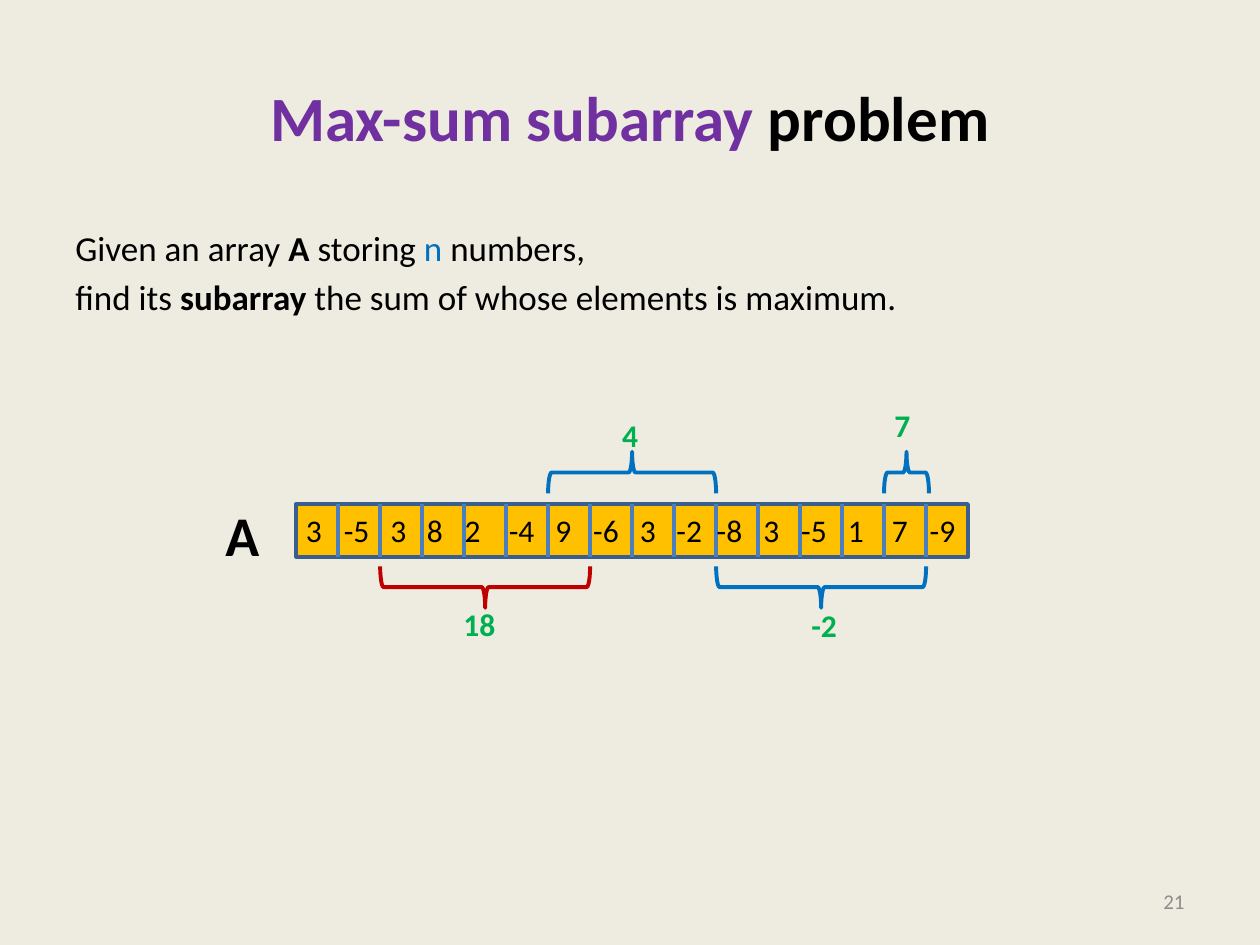
import pptx
import pptx.dml.color
import pptx.enum.shapes
import pptx.enum.text
import pptx.util
import lxml.etree
from pptx.util import Inches

COLORS = {
    "background": "EEECE1", "black": "000000", "purple": "7030A0",
    "blue": "0070C0", "red": "C00000", "green": "00B050", "gray": "8C8C8C",
    "cell": "FFC000", "border": "3A5F8C", "divider": "4B7EBC",
}
ALIGN = pptx.enum.text.PP_ALIGN
ANCHOR = pptx.enum.text.MSO_ANCHOR
SHAPE = pptx.enum.shapes.MSO_SHAPE


def color(name):
    return pptx.dml.color.RGBColor.from_string(COLORS[name])


def add_text(left, top, width, height, lines, size, align=ALIGN.LEFT,
             anchor=ANCHOR.TOP, wrap=True):
    """Add a text box; each line is a list of (text, color name, bold) runs."""
    box = slide.shapes.add_textbox(Inches(left), Inches(top), Inches(width), Inches(height))
    frame = box.text_frame
    frame.word_wrap = wrap
    frame.vertical_anchor = anchor
    if not wrap:
        frame.auto_size = pptx.enum.text.MSO_AUTO_SIZE.SHAPE_TO_FIT_TEXT
    for index, runs in enumerate(lines):
        paragraph = frame.add_paragraph() if index else frame.paragraphs[0]
        paragraph.alignment = align
        if index:
            paragraph.space_before = pptx.util.Pt(size * 0.2)
        for text, color_name, bold in runs:
            run = paragraph.add_run()
            run.text = text
            run.font.name = "Calibri"
            run.font.size = pptx.util.Pt(size)
            run.font.bold = bold
            run.font.color.rgb = color(color_name)
    return box


presentation = pptx.Presentation()
presentation.slide_width = Inches(10)
presentation.slide_height = Inches(7.5)
slide = presentation.slides.add_slide(presentation.slide_layouts[6])
slide.background.fill.solid()
slide.background.fill.fore_color.rgb = color("background")

# Title, problem statement and slide number
add_text(0.5, 0.3, 9, 1.25,
         [[("Max-sum subarray ", "purple", True), ("problem", "black", True)]],
         36, ALIGN.CENTER, ANCHOR.MIDDLE)
add_text(0.5, 1.75, 9, 4.95, [
    [("Given an array ", "black", False), ("A", "black", True),
     (" storing ", "black", False), ("n", "blue", False), (" numbers,", "black", False)],
    [("find its ", "black", False), ("subarray", "black", True),
     (" the sum of whose elements is maximum.", "black", False)],
], 20)
add_text(7.17, 6.95, 2.33, 0.4, [[("21", "gray", False)]], 12, ALIGN.RIGHT, ANCHOR.MIDDLE)

# Array bar
array_left, array_top, array_height = 2.35, 4, 0.42
cell_count, cell_width = 16, 1 / 3
bar = slide.shapes.add_shape(SHAPE.RECTANGLE, Inches(array_left), Inches(array_top),
                             Inches(cell_count * cell_width), Inches(array_height))
bar.shadow.inherit = False
bar.fill.solid()
bar.fill.fore_color.rgb = color("cell")
bar.line.color.rgb = color("border")
bar.line.width = pptx.util.Pt(2)

# Cell dividers
for index in range(1, cell_count):
    x = Inches(array_left + index * cell_width)
    divider = slide.shapes.add_connector(pptx.enum.shapes.MSO_CONNECTOR.STRAIGHT, x,
                                         Inches(array_top), x, Inches(array_top + array_height))
    divider.line.color.rgb = color("divider")
    divider.line.width = pptx.util.Pt(2.25)
    lxml.etree.SubElement(divider._element.spPr, pptx.oxml.ns.qn("a:effectLst"))
    if index == cell_count // 2:
        divider.begin_connect(bar, 0)
        divider.end_connect(bar, 2)

# Array values, one tab stop for each value after the first
values = ["3", "-5", "3", "8", "2", "-4", "9", "-6", "3", "-2", "-8", "3", "-5", "1", "7", "-9"]
tab_stops = [0.3, 0.67, 0.96, 1.26, 1.61, 1.98, 2.28, 2.65, 2.94, 3.26, 3.63, 3.93, 4.3,
             4.65, 4.95]
values_box = add_text(2.33, 4.01, 5.49, 0.4, [[("\t".join(values), "black", False)]], 18)
properties = values_box.text_frame.paragraphs[0]._p.get_or_add_pPr()
tab_list = lxml.etree.SubElement(properties, pptx.oxml.ns.qn("a:tabLst"))
for stop in tab_stops:
    lxml.etree.SubElement(tab_list, pptx.oxml.ns.qn("a:tab"), pos=str(Inches(stop)), algn="l")

add_text(1.69, 3.92, 0.47, 0.64, [[("A", "black", True)]], 32, wrap=False)

# Subarray braces: first cell, end cell, middle height, rotation, color,
# then the sum with its left, top and width
brace_depth = 0.33
subarrays = [
    (2, 7, 4.66, 90, "red", "18", 3.58, 4.75, 0.46),
    (6, 10, 3.75, 270, "blue", "4", 4.84, 3.25, 0.33),
    (14, 15.07, 3.75, 270, "blue", "7", 7, 3.17, 0.33),
    (10, 15, 4.66, 90, "blue", "-2", 6.34, 4.76, 0.41),
]
for first, end, middle, rotation, color_name, total, left, top, width in subarrays:
    length = (end - first) * cell_width
    center = array_left + (first + end) / 2 * cell_width
    brace = slide.shapes.add_shape(SHAPE.RIGHT_BRACE, Inches(center - brace_depth / 2),
                                   Inches(middle - length / 2), Inches(brace_depth),
                                   Inches(length))
    brace.rotation = rotation
    brace.shadow.inherit = False
    brace.fill.background()
    brace.line.color.rgb = color(color_name)
    brace.line.width = pptx.util.Pt(2.25)
    add_text(left, top, width, 0.4, [[(total, "green", True)]], 18, wrap=False)

presentation.save("out.pptx")
